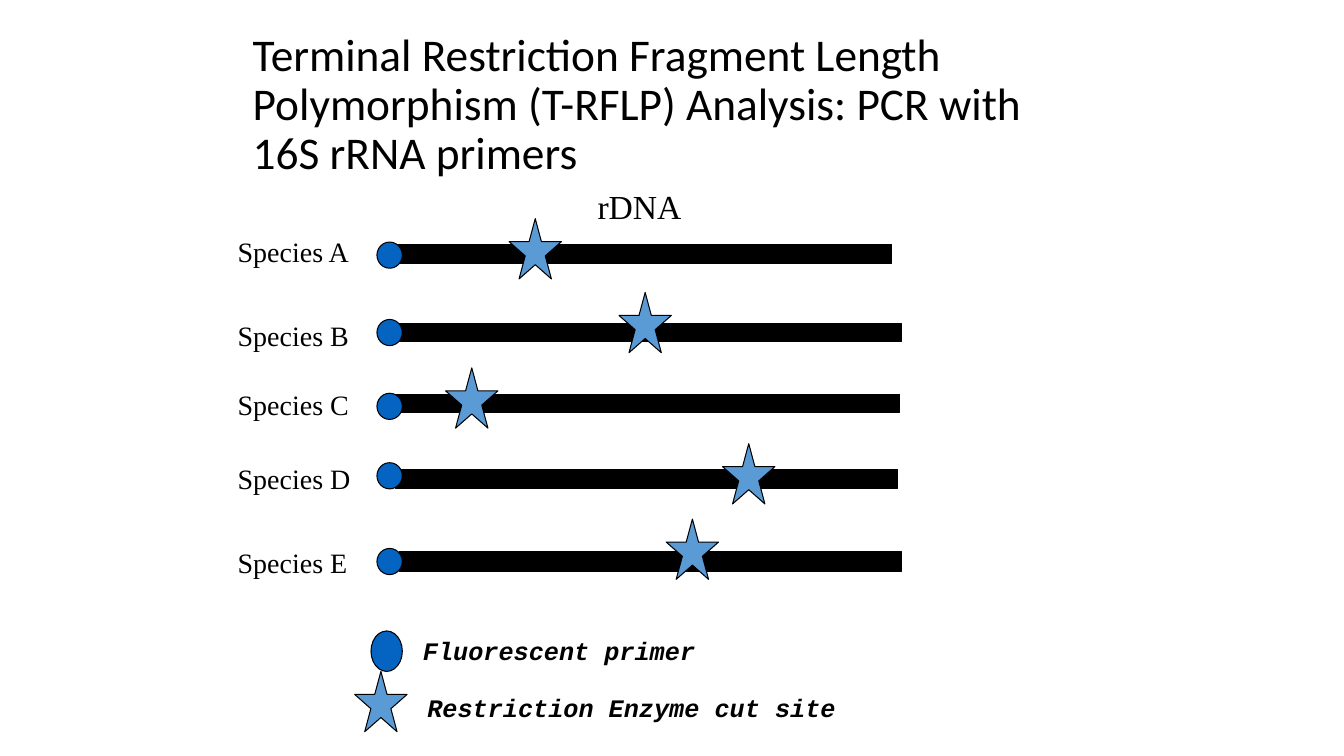
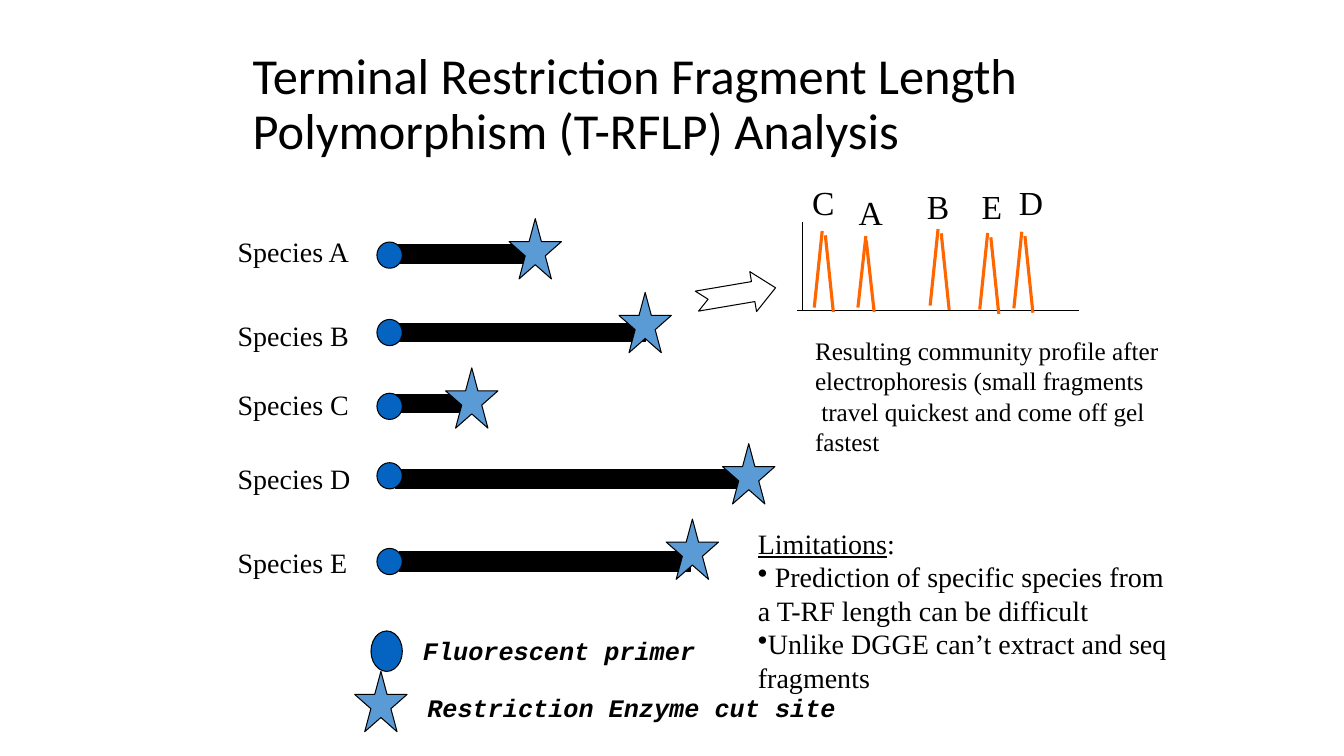
from lxml import etree
from pptx import Presentation
from pptx.dml.color import RGBColor
from pptx.enum.shapes import MSO_CONNECTOR, MSO_SHAPE
from pptx.enum.text import MSO_ANCHOR
from pptx.oxml.ns import qn
from pptx.util import Cm, Pt

RECT, OVAL, STAR = MSO_SHAPE.RECTANGLE, MSO_SHAPE.OVAL, MSO_SHAPE.STAR_5_POINT
ARROW = MSO_SHAPE.NOTCHED_RIGHT_ARROW
STRAIGHT = MSO_CONNECTOR.STRAIGHT
MIDDLE = MSO_ANCHOR.MIDDLE

BLACK = RGBColor(0x00, 0x00, 0x00)
PRIMER_BLUE = RGBColor(0x05, 0x63, 0xC1)
CUT_BLUE = RGBColor(0x5B, 0x9B, 0xD5)
PEAK_ORANGE = RGBColor(0xFF, 0x66, 0x00)
SERIF, SANS, MONO = "Times New Roman", "Calibri", "Courier New"

STAR_SIZE = (1.32, 1.52)
DOT_LEFT, DOT_SIZE = 9.5, (0.64, 0.66)

TITLE = "Terminal Restriction Fragment Length Polymorphism (T-RFLP) Analysis"
TITLES = [(TITLE + ": PCR with 16S rRNA primers", 32.4), (TITLE, 36)]

# name, label top, bar left, bar top, bar height, cut, bar end, dot top, star left, star top
SPECIES = [
    ("A", 5.79, 9.83, 6.17, 0.46, 13.76, 22.48, 6.1, 12.83, 5.51),
    ("B", 7.9, 10.06, 8.15, 0.46, 16.26, 22.71, 8.05, 15.6, 7.37),
    ("C", 9.63, 9.98, 9.93, 0.46, 11.76, 22.68, 9.91, 11.23, 9.27),
    ("D", 11.51, 9.98, 11.84, 0.46, 19.1, 22.63, 11.66, 18.21, 11.18),
    ("E", 13.61, 10.06, 13.89, 0.51, 17.4, 22.71, 13.82, 16.79, 13.08),
]
PEAKS = [
    ("C", 20.22, 4.45, 20.52, 7.75, 0.48, 1.93),
    ("A", 21.39, 4.7, 21.62, 7.75, 0.41, 1.8),
    ("B", 23.11, 4.57, 23.44, 7.7, 0.48, 1.93),
    ("E", 24.49, 4.55, 24.69, 7.8, 0.48, 1.93),
    ("D", 25.43, 4.47, 25.55, 7.77, 0.48, 1.93),
]


def add_text(s, lines, x, y, w, h, size, font=SERIF, wrap=False):
    tf = s.shapes.add_textbox(Cm(x), Cm(y), Cm(w), Cm(h)).text_frame
    tf.word_wrap = wrap
    tf.text = "\n".join(lines)
    for p in tf.paragraphs:
        for r in p.runs:
            r.font.size = Pt(size)
            r.font.name = font
            r.font.color.rgb = BLACK
            if font == MONO:
                r.font.bold = r.font.italic = True
    return tf


def add_figure(s, kind, x, y, w, h, fill=None):
    sp = s.shapes.add_shape(kind, Cm(x), Cm(y), Cm(w), Cm(h))
    sp.shadow.inherit = False
    if fill is None:
        sp.fill.background()
    else:
        sp.fill.solid()
        sp.fill.fore_color.rgb = fill
    sp.line.color.rgb = BLACK
    sp.line.width = Pt(0.75)
    return sp


prs = Presentation()
prs.slide_width, prs.slide_height = Cm(33.87), Cm(19.05)
slides = []

for number, (title, size) in enumerate(TITLES):
    s = prs.slides.add_slide(prs.slide_layouts[6])
    slides.append(s)
    tf = add_text(s, [title], 6.12, 1.07, 21.59, 3.18, size, SANS, True)
    tf.vertical_anchor = MIDDLE
    tf.paragraphs[0].line_spacing = 0.9

    for name, label_y, x, y, h, cut, end, dot_y, star_x, star_y in SPECIES:
        add_text(s, ["Species " + name], 5.74, label_y, 3.35, 1.12, 20)
        if number == 0:
            add_figure(s, RECT, cut, y, end - cut, h, BLACK)
        add_figure(s, RECT, x, y, cut - x, h, BLACK)
        add_figure(s, OVAL, DOT_LEFT, dot_y, *DOT_SIZE, PRIMER_BLUE)
        add_figure(s, STAR, star_x, star_y, *STAR_SIZE, CUT_BLUE)

    add_figure(s, OVAL, 9.35, 15.9, 0.79, 1.02, PRIMER_BLUE)
    add_text(s, ["Fluorescent primer"], 10.41, 15.88, 7.42, 1.02, 18, MONO)
    add_figure(s, STAR, 8.94, 16.92, *STAR_SIZE, CUT_BLUE)
    add_text(s, ["Restriction Enzyme cut site"], 10.52, 17.32, 10.85, 1.02, 18, MONO)

pcr, profile = slides
add_text(pcr, ["rDNA"], 14.81, 4.55, 2.67, 1.27, 24)

lines = [
    (20.22, 5.59, 20.22, 7.82, BLACK, 0.75),
    (20.09, 7.82, 27.2, 7.82, BLACK, 0.75),
]
for name, label_x, label_y, x, base, w, h in PEAKS:
    add_text(profile, [name], label_x, label_y, 1.07, 1.27, 24)
    lines.append((x, base, x + 0.2, base - h, PEAK_ORANGE, 2.25))
    lines.append((x + w, base + 0.11, x + w - 0.2, base + 0.11 - h, PEAK_ORANGE, 2.25))

for x1, y1, x2, y2, color, width in lines:
    c = profile.shapes.add_connector(STRAIGHT, Cm(x1), Cm(y1), Cm(x2), Cm(y2))
    c.line.color.rgb = color
    c.line.width = Pt(width)
    etree.SubElement(c._element.spPr, qn("a:effectLst"))

arrow = add_figure(profile, ARROW, 17.55, 6.91, 2.01, 1.02)
arrow.rotation = 350.4
arrow.adjustments[0] = 0.5
arrow.adjustments[1] = 0.56

add_text(profile, [
    "Resulting community profile after",
    "electrophoresis (small fragments",
    " travel quickest and come off gel",
    "fastest",
], 20.29, 8.33, 9.32, 3.3, 18)

tf = add_text(profile, [
    "Limitations",
    " Prediction of specific species from a T-RF length can be difficult",
    "Unlike DGGE can’t extract and seq fragments",
], 18.85, 13.13, 11.23, 5.05, 20, wrap=True)
heading, *bullets = tf.paragraphs
heading.runs[0].font.underline = True
r = heading.add_run()
r.text = ":"
r.font.size = Pt(20)
r.font.name = SERIF
r.font.color.rgb = BLACK
for p in bullets:
    etree.SubElement(p._p.get_or_add_pPr(), qn("a:buChar"), char="•")

prs.save("out.pptx")
